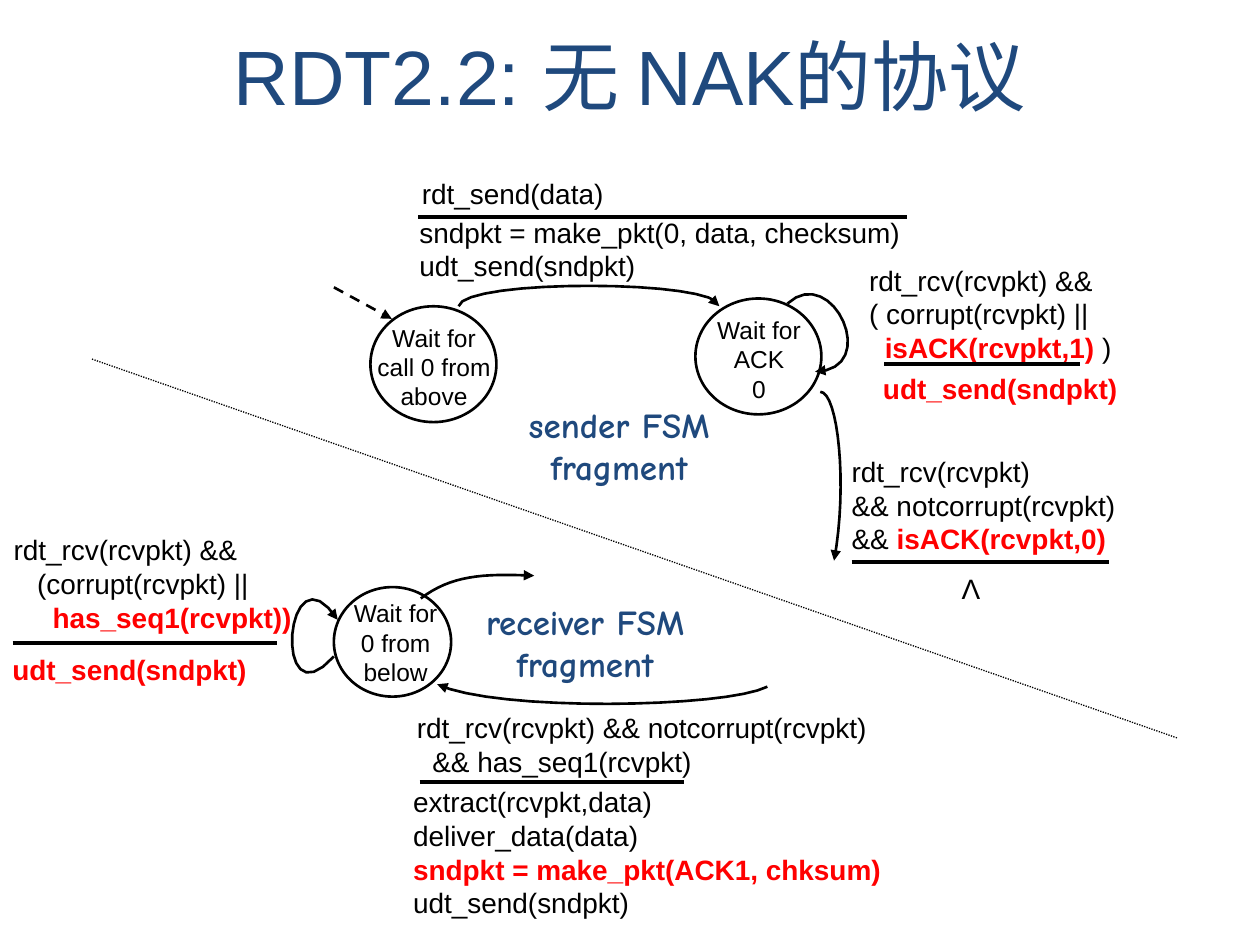
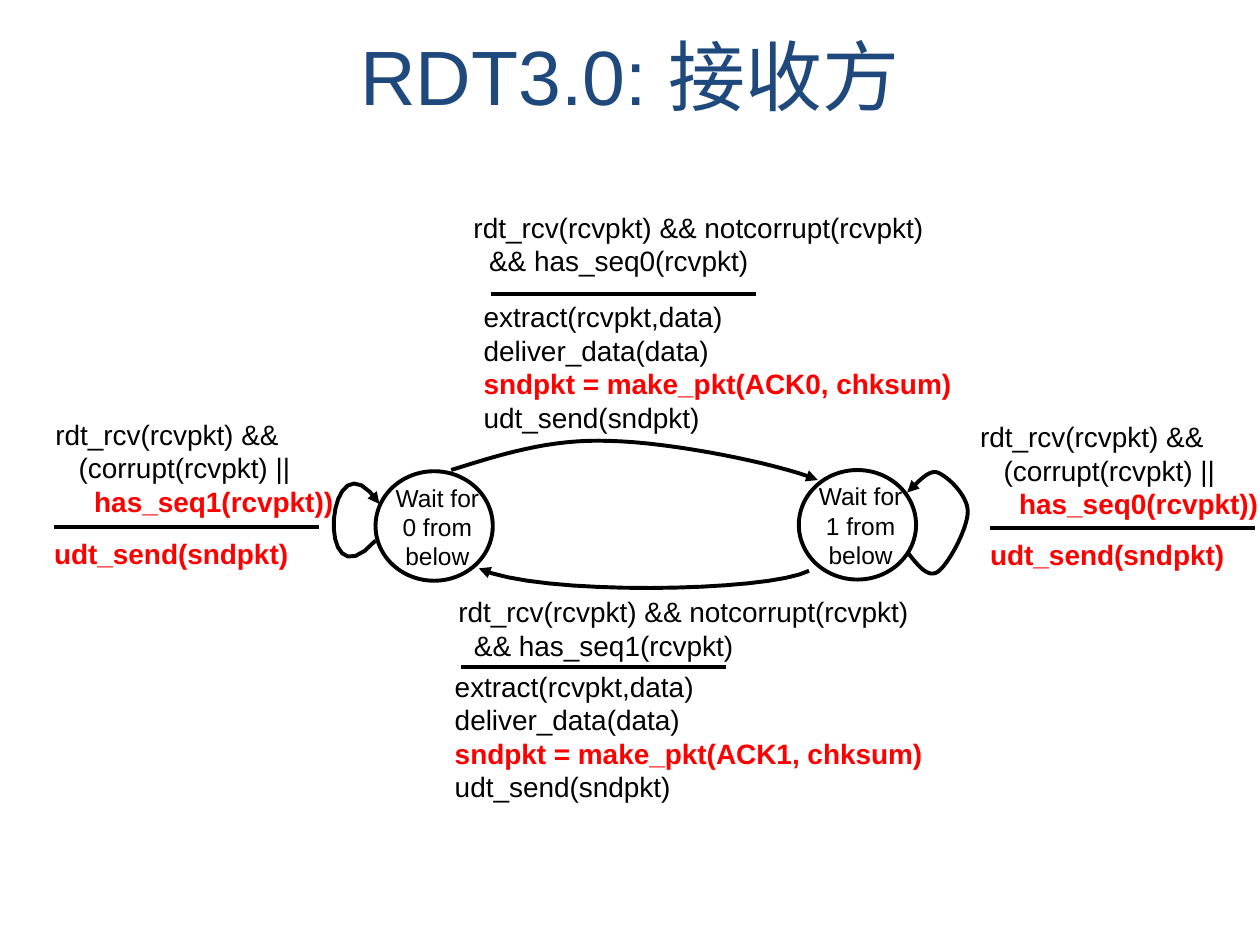
"""Build two slides with state machines of reliable data transfer protocols."""
from dataclasses import dataclass

import pptx
import pptx.dml.color
import pptx.enum.dml
import pptx.enum.shapes
import pptx.enum.text
import pptx.oxml.ns
import pptx.util
from lxml import etree

Pt = pptx.util.Pt
RGBColor = pptx.dml.color.RGBColor
Align = pptx.enum.text.PP_ALIGN
Dash = pptx.enum.dml.MSO_LINE
qn = pptx.oxml.ns.qn

BLACK = RGBColor(0x00, 0x00, 0x00)
WHITE = RGBColor(0xFF, 0xFF, 0xFF)
RED = RGBColor(0xFF, 0x00, 0x00)
NAVY = RGBColor(0x1F, 0x49, 0x7D)
THIN, THICK = 1.5, 2.25
SPACE = 4.45  # width of a blank at 16 points
STEPS = 16  # straight pieces per curve

Point = tuple[float, float]


@dataclass(frozen=True)
class Row:
    """One paragraph: plain text, a bold red part, and plain text again."""
    plain: str = ""
    red: str = ""
    tail: str = ""
    indent: float = 0


@dataclass(frozen=True)
class Style:
    """Type style of a text box."""
    size: float = 16
    font: str = "Arial"
    color: RGBColor = BLACK
    bold: bool = False
    align: Align = Align.LEFT


@dataclass(frozen=True)
class StateKind:
    """Size of a state circle, and its caption's offset and width."""
    width: float
    height: float
    dx: float
    dy: float
    text_width: float


@dataclass(frozen=True)
class Transition:
    """Event above a rule, actions below it."""
    event_at: Point
    event: list[Row]
    rule_at: Point
    rule_length: float
    action_at: Point
    action: list[Row]
    event_width: float = 214
    action_width: float = 164


BODY = Style()
CAPTION = Style(size=14, align=Align.CENTER)
CENTERED = Style(align=Align.CENTER)
TITLE = Style(size=44, color=NAVY, align=Align.CENTER)
FSM_NAME = Style(20, "Comic Neue", NAVY, True, Align.CENTER)
SENDER = StateKind(72, 66.2, -5.4, 5.8, 83.5)
RECEIVER = StateKind(67, 62.6, 3.6, 2.9, 63.4)
RESEND = [Row(red="udt_send(sndpkt)")]


def add_text(s, at: Point, width: float, height: float, rows: list[Row],
             style: Style = BODY, middle: bool = False) -> None:
    """Add a wrapping text box."""
    sp = s.shapes.add_textbox(Pt(at[0]), Pt(at[1]), Pt(width), Pt(height))
    tf = sp.text_frame
    tf.word_wrap = True
    tf.auto_size = pptx.enum.text.MSO_AUTO_SIZE.NONE
    if middle:
        tf.vertical_anchor = pptx.enum.text.MSO_ANCHOR.MIDDLE
    for i, row in enumerate(rows):
        p = tf.paragraphs[0] if i == 0 else tf.add_paragraph()
        p.alignment = style.align
        p.font.name, p.font.size = style.font, Pt(style.size)
        all_red = not row.plain and not row.tail
        p.font.bold = style.bold or all_red
        p.font.color.rgb = RED if all_red else style.color
        if row.indent:
            ppr = p._p.get_or_add_pPr()
            ppr.set("marL", str(Pt(row.indent)))
            ppr.set("indent", "0")
        for part in (row.plain, row.red, row.tail):
            if part:
                r = p.add_run()
                r.text = part
                if part is row.red and not all_red:
                    r.font.bold = True
                    r.font.color.rgb = RED


def add_rows(s, at: Point, width: float, rows: list[Row]) -> None:
    """Add body text in a box whose height follows its number of rows."""
    add_text(s, at, width, 14 + 10.5 * len(rows), rows)


def set_line(sp, width: float, arrow: bool = False, dash=None) -> None:
    """Give a shape a black outline, perhaps dashed or with an arrowhead."""
    sp.line.color.rgb = BLACK
    sp.line.width = Pt(width)
    if dash:
        sp.line.dash_style = dash
    if arrow:
        ln = sp.line._get_or_add_ln()
        etree.SubElement(ln, qn("a:tailEnd")).set("type", "triangle")


def add_line(s, start: Point, end: Point, width: float = THICK,
             arrow: bool = False, dash=None) -> None:
    """Add a straight line without a shadow."""
    sp = s.shapes.add_connector(
        pptx.enum.shapes.MSO_CONNECTOR.STRAIGHT,
        *(Pt(v) for v in (*start, *end)))
    set_line(sp, width, arrow, dash)
    etree.SubElement(sp._element.spPr, qn("a:effectLst"))


def add_curve(s, points: list[Point], width: float, dx: float = 0,
              dy: float = 0) -> None:
    """Add an arrow along joined cubic curves, three points after the first."""
    track = []
    for i in range(0, len(points) - 1, 3):
        for step in range(1, STEPS + 1):
            t = step / STEPS
            weights = ((1 - t) ** 3, 3 * t * (1 - t) ** 2,
                       3 * t * t * (1 - t), t ** 3)
            x, y = (sum(w * q[axis] for w, q in zip(weights, points[i:i + 4]))
                    for axis in (0, 1))
            track.append((Pt(x + dx), Pt(y + dy)))
    builder = s.shapes.build_freeform(Pt(points[0][0] + dx),
                                      Pt(points[0][1] + dy))
    builder.add_line_segments(track, close=False)
    sp = builder.convert_to_shape()
    sp.shadow.inherit = False
    sp.fill.background()
    set_line(sp, width, arrow=True)


def add_state(s, kind: StateKind, left: float, top: float, width: float,
              *lines: str) -> None:
    """Add a state circle and its caption."""
    sp = s.shapes.add_shape(pptx.enum.shapes.MSO_SHAPE.OVAL, Pt(left), Pt(top),
                            Pt(kind.width), Pt(kind.height))
    sp.shadow.inherit = False
    sp.fill.solid()
    sp.fill.fore_color.rgb = WHITE
    set_line(sp, width)
    add_text(s, (left + kind.dx, top + kind.dy), kind.text_width, 48.2,
             [Row(line) for line in lines], CAPTION)


def add_transition(s, t: Transition) -> None:
    """Add the event, the rule and the actions of a transition."""
    add_rows(s, t.event_at, t.event_width, t.event)
    x, y = t.rule_at
    add_line(s, t.rule_at, (x + t.rule_length, y))
    add_rows(s, t.action_at, t.action_width, t.action)


def corrupt(seq: int, event_at: Point, rule_at: Point,
            action_at: Point) -> Transition:
    """Return the label for a corrupt or repeated packet."""
    event = [Row("rdt_rcv(rcvpkt) &&"),
             Row("(corrupt(rcvpkt) ||", indent=3 * SPACE),
             Row(red=f"has_seq{seq}(rcvpkt))", indent=5 * SPACE)]
    return Transition(event_at, event, rule_at, 151.2, action_at, RESEND, 190)


def deliver(seq: int, event_at: Point, rule_at: Point,
            action_at: Point) -> Transition:
    """Return the label for the expected packet."""
    event = [Row("rdt_rcv(rcvpkt) && notcorrupt(rcvpkt)"),
             Row(f"&& has_seq{seq}(rcvpkt)", indent=2 * SPACE)]
    action = [Row("extract(rcvpkt,data)"), Row("deliver_data(data)"),
              Row(red=f"sndpkt = make_pkt(ACK{seq}, chksum)"),
              Row("udt_send(sndpkt)")]
    return Transition(event_at, event, rule_at, 151.2, action_at, action,
                      310, 329)


def add_receiver(s, dx: float, dy: float, width: float) -> None:
    """Add the state waiting for packet 0, its loop and the way back to it."""
    add_state(s, RECEIVER, 190.8 + dx, 335.5 + dy, width,
              "Wait for", "0 from below")
    add_curve(s, [(438.5, 392.4), (414.7, 404.6), (283, 406.8), (249.8, 391)],
              width, dx, dy)
    add_curve(s, [(190.8, 375.1), (154.8, 415.4), (162.7, 308.2),
                  (193, 354.2)], width, dx, dy)
    add_transition(s, deliver(1, (231.1 + dx, 402.5 + dy),
                              (239.8 + dx, 447.1 + dy),
                              (229 + dx, 445 + dy)))
    add_transition(s, corrupt(1, (0.7 + dx, 301 + dy), (7.2 + dx, 367.2 + dy),
                              (dx, 369.4 + dy)))


def new_slide(prs, title: str):
    """Add a blank slide with a title."""
    s = prs.slides.add_slide(prs.slide_layouts[6])
    add_text(s, (36, 20.2), 648, 45.4, [Row(title)], TITLE, middle=True)
    return s


def build_nak_free(prs) -> None:
    """Build the slide on the protocol without NAK."""
    s = new_slide(prs, "RDT2.2: 无 NAK的协议")
    add_state(s, SENDER, 211.7, 175, THIN, "Wait for call 0 from above")
    add_state(s, SENDER, 397.4, 170.6, THIN, "Wait for ACK", "0")
    add_line(s, (190.8, 164.2), (223.9, 182.2), THIN, True, Dash.DASH)
    add_line(s, (52.6, 205.2), (673.2, 421.9), 0.75, dash=Dash.ROUND_DOT)
    add_receiver(s, 0, 0, THIN)
    for curve in (
        [(262.1, 175), (265, 159.1), (411.1, 159.8), (411.1, 175)],
        [(450, 173.5), (475.9, 149.8), (504, 211.7), (465.8, 212.4)],
        [(468.7, 223.9), (478.8, 223.9), (484.6, 277.2), (476.6, 320.4)],
        [(240.5, 342), (257.8, 329), (275, 327.6), (305.3, 329)],
    ):
        add_curve(s, curve, THIN)
    add_transition(s, Transition(
        (234, 97.2), [Row("rdt_send(data)")], (239, 123.8), 279.4,
        (232.6, 119.5), [Row("sndpkt = make_pkt(0, data, checksum)"),
                         Row("udt_send(sndpkt)")], 136, 293))
    add_transition(s, Transition(
        (489.6, 146.9),
        [Row("rdt_rcv(rcvpkt) &&"), Row("( corrupt(rcvpkt) ||"),
         Row(red="isACK(rcvpkt,1)", tail=" )", indent=2 * SPACE)],
        (505.4, 208.1), 111.6, (497.5, 208.8), RESEND))
    add_rows(s, (479.5, 256.3), 190,
             [Row("rdt_rcv(rcvpkt)"), Row("&& notcorrupt(rcvpkt)"),
              Row("&& ", "isACK(rcvpkt,0)")])
    add_line(s, (486.7, 321.1), (633.6, 321.1))
    add_text(s, (540, 323.3), 29.5, 26.6, [Row("Λ")], CENTERED)
    for name, at, width in (("sender FSM", (288.7, 226.8), 130.3),
                            ("receiver FSM", (262.1, 339.8), 144.7)):
        add_text(s, at, width, 55.4, [Row(name), Row("fragment")], FSM_NAME)


def build_receiver(prs) -> None:
    """Build the slide on the receiver."""
    s = new_slide(prs, "RDT3.0: 接收方")
    add_receiver(s, 23.8, -66.2, THICK)
    add_state(s, RECEIVER, 456.5, 268.6, THICK, "Wait for", "1 from below")
    add_curve(s, [(257.8, 268.6), (285.8, 259.9), (313.9, 250.6), (348.5, 252),
                  (383.8, 252.7), (445, 265), (467.3, 274.3)], THICK)
    add_curve(s, [(518.4, 315.4), (524.2, 322.6), (529.9, 330.5),
                  (535.7, 326.9), (541.4, 323.3), (553, 302.4), (553, 292.3),
                  (553, 283), (541.4, 272.2), (535.7, 270), (529.9, 267.8),
                  (521.3, 279.4), (518.4, 281.5)], THICK)
    add_transition(s, deliver(0, (263.5, 116.6), (280.8, 167.8),
                              (269.3, 167.8)))
    add_transition(s, corrupt(0, (553, 236.2), (565.9, 301.7),
                              (558.7, 303.8)))


prs = pptx.Presentation()
prs.slide_width, prs.slide_height = Pt(720), Pt(540)
build_nak_free(prs)
build_receiver(prs)
prs.save("out.pptx")
